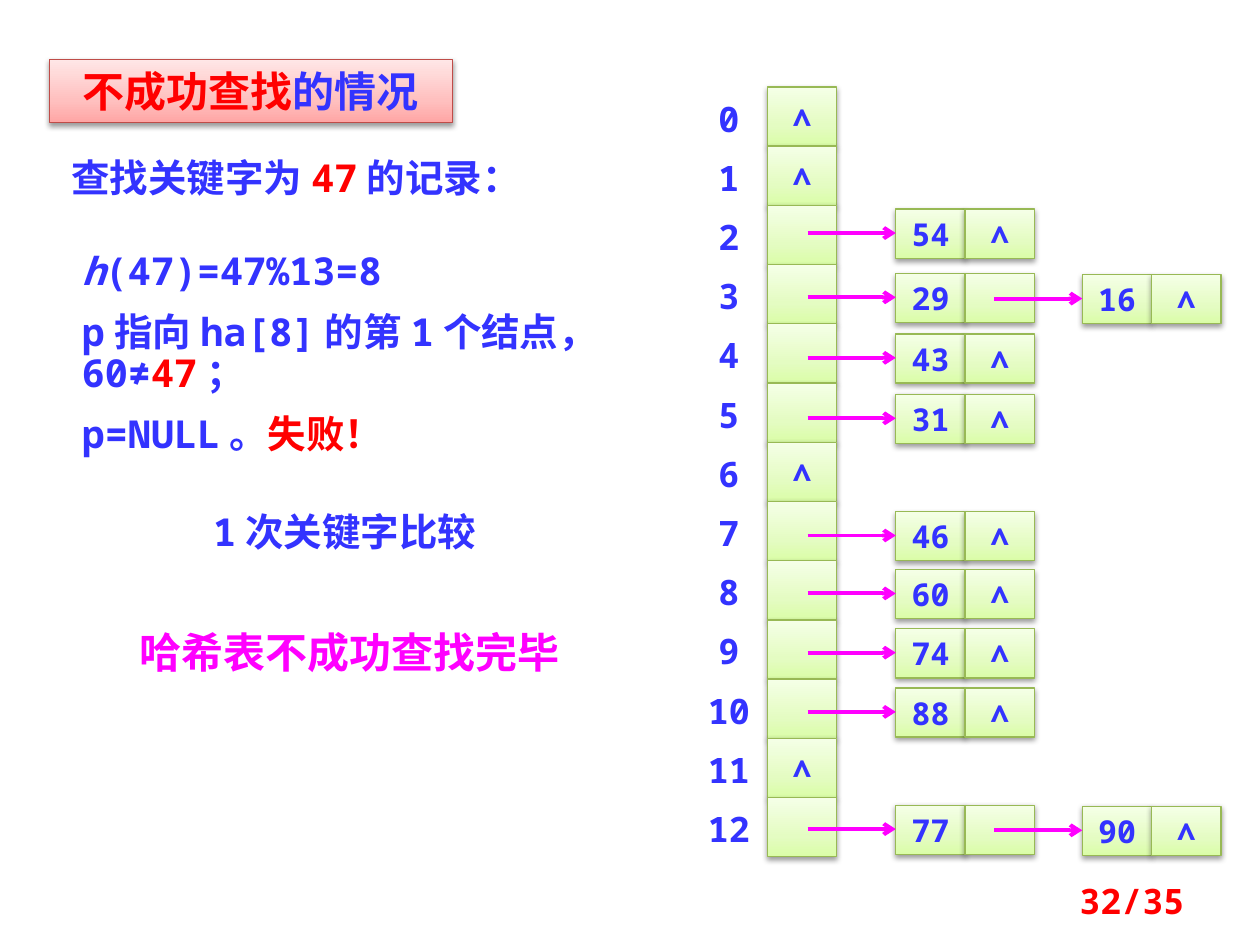
from pptx import Presentation
from pptx.dml.color import RGBColor as RGB
from pptx.enum.shapes import MSO_CONNECTOR as Link, MSO_SHAPE as Form
from pptx.enum.text import MSO_ANCHOR as Anchor, MSO_AUTO_SIZE as Fit, PP_ALIGN as Align
from pptx.oxml import parse_xml
from pptx.oxml.ns import nsdecls
from pptx.util import Inches, Pt

BLUE = RGB(0x33, 0x33, 0xFF)
RED = RGB(0xFF, 0, 0)
PINK = RGB(0xFF, 0, 0xFF)
LEAF = RGB(0x98, 0xB9, 0x55)
BRICK = RGB(0xBF, 0x4C, 0x48)
GREENS = [RGB(0xDA, 0xFD, 0xA7), RGB(0xE4, 0xFC, 0xC2), RGB(0xF5, 0xFF, 0xE7)]
ROSES = [RGB(0xFF, 0xA6, 0xA5), RGB(0xFF, 0xC0, 0xBF), RGB(0xFF, 0xE7, 0xE7)]
NIL = "∧"


def xml(tag, body="", attrs=""):
    return parse_xml(f'<a:{tag} {nsdecls("a")} {attrs}>{body}</a:{tag}>')


def write(frame, paras, size=22, color=BLUE, align=Align.LEFT, anchor=Anchor.TOP,
          gap=0, lead=None, inset=None):
    """Each paragraph is a list of runs: (text, color, italic), the last two optional."""
    frame.word_wrap = True
    frame.auto_size = Fit.NONE
    frame.vertical_anchor = anchor
    if inset is not None:
        frame.margin_left = frame.margin_right = Inches(inset)
        frame.margin_top = frame.margin_bottom = Inches(inset)
    for i, runs in enumerate(paras):
        para = frame.paragraphs[0] if i == 0 else frame.add_paragraph()
        para.alignment = align
        para.space_before = Pt(gap)
        if lead:
            para.line_spacing = lead
        for text, *look in runs:
            run = para.add_run()
            run.text = text
            font = run.font
            font.name, font.size, font.bold = "Noto Sans Mono", Pt(size), True
            font.color.rgb = look[0] if look else color
            font.italic = len(look) > 1 and look[1]


class Deck:
    def __init__(self):
        self.show = Presentation()
        self.show.slide_width, self.show.slide_height = Inches(10), Inches(7.5)
        self.slide = self.show.slides.add_slide(self.show.slide_layouts[1])
        self.shapes = self.slide.shapes

    def place(self, shape, x, y, w, h):
        shape.left, shape.top = Inches(x), Inches(y)
        shape.width, shape.height = Inches(w), Inches(h)

    def paint(self, shape, tones, edge):
        """Vertical gradient, thin edge and soft shadow."""
        stops = "".join(f'<a:gs pos="{pos}"><a:srgbClr val="{tone}"/></a:gs>'
                        for pos, tone in zip((0, 35000, 100000), tones))
        props = shape._element.spPr
        props.append(xml("gradFill", f'<a:gsLst>{stops}</a:gsLst><a:lin ang="16200000"/>'))
        shape.line.color.rgb = edge
        shape.line.width = Pt(0.75)
        shape.shadow.inherit = False
        props.find(".//{*}effectLst").append(xml(
            "outerShdw", '<a:srgbClr val="000000"><a:alpha val="38000"/></a:srgbClr>',
            'blurRad="40000" dist="20000" dir="5400000" rotWithShape="0"'))

    def title(self, box, runs):
        shape = self.shapes.title
        self.place(shape, *box)
        self.paint(shape, ROSES, BRICK)
        write(shape.text_frame, [runs], size=24, align=Align.CENTER)

    def body(self, box, paras, **fmt):
        shape = self.slide.placeholders[1]
        self.place(shape, *box)
        write(shape.text_frame, paras, **fmt)
        for para in shape.text_frame.paragraphs:
            props = para._p.get_or_add_pPr()
            props.set("marL", "0")
            props.set("indent", "0")
            props.append(xml("buNone"))

    def text(self, box, runs, **fmt):
        shape = self.shapes.add_textbox(*map(Inches, box))
        write(shape.text_frame, [runs], **fmt)

    def cell(self, x, y, h, text):
        shape = self.shapes.add_shape(Form.RECTANGLE, *map(Inches, (x, y, 0.55, h)))
        self.paint(shape, GREENS, LEAF)
        if text:
            write(shape.text_frame, [[(text,)]], size=18, align=Align.CENTER,
                  anchor=Anchor.MIDDLE)

    def arrow(self, x, y):
        line = self.shapes.add_connector(
            Link.STRAIGHT, *map(Inches, (x, y, x + 0.7, y)))
        line.line.color.rgb = PINK
        line.line.width = Pt(2.25)
        line.line._get_or_add_ln().append(xml("tailEnd", attrs='type="arrow"'))
        line._element.spPr.append(xml("effectLst"))

    def node(self, x, y, key, last):
        self.cell(x, y, 0.39, key)
        self.cell(x + 0.55, y, 0.39, NIL if last else "")


deck = Deck()

# Heading and search steps
deck.title((0.39, 0.47, 3.2, 0.5), [("不成功查找", RED), ("的情况",)])
deck.text((0.47, 1.17, 4.06, 0.47),
          [("查找关键字为",), ("47", RED), ("的记录：",)], gap=11)
deck.body((0.55, 1.95, 4.77, 1.47), [
    [("h", BLUE, True), ("(47)=47%13=8",)],
    [("p指向ha[8]的第1个结点，60≠",), ("47", RED), ("；",)],
    [("p=NULL。",), ("失败！", RED)],
], gap=11, lead=0.9)
deck.text((1.33, 3.98, 2.81, 0.47), [("1次关键字比较",)], align=Align.CENTER)
deck.text((0.94, 4.92, 3.67, 0.5), [("哈希表不成功查找完毕",)],
          size=24, color=PINK, align=Align.CENTER, gap=12)

# Chains by bucket: top of the first node, then the keys
chains = {
    2: (1.66, "54"), 3: (2.17, "29", "16"), 4: (2.65, "43"), 5: (3.13, "31"),
    7: (4.06, "46"), 8: (4.52, "60"), 9: (4.99, "74"), 10: (5.46, "88"),
    12: (6.39, "77", "90"),
}

# Bucket column with its indexes
for row in range(13):
    top = 0.69 + 0.47 * row
    deck.cell(6.09, top, 0.47, "" if row in chains else NIL)
    deck.text((5.55, top + 0.08, 0.47, 0.34), [(str(row),)],
              size=20, align=Align.CENTER, inset=0)

# Linked nodes
for top, *keys in chains.values():
    for i, key in enumerate(keys):
        left, high = 7.11 + 1.48 * i, top + 0.01 * i
        deck.node(left, high, key, i == len(keys) - 1)
    for i in range(len(keys)):
        deck.arrow(6.41 + 1.48 * i, top + 0.01 * i + 0.19)

# Page number
deck.text((7.17, 6.95, 2.33, 0.4), [("32/35",)], size=20, color=RED,
          align=Align.RIGHT, anchor=Anchor.MIDDLE)

deck.show.save("out.pptx")
